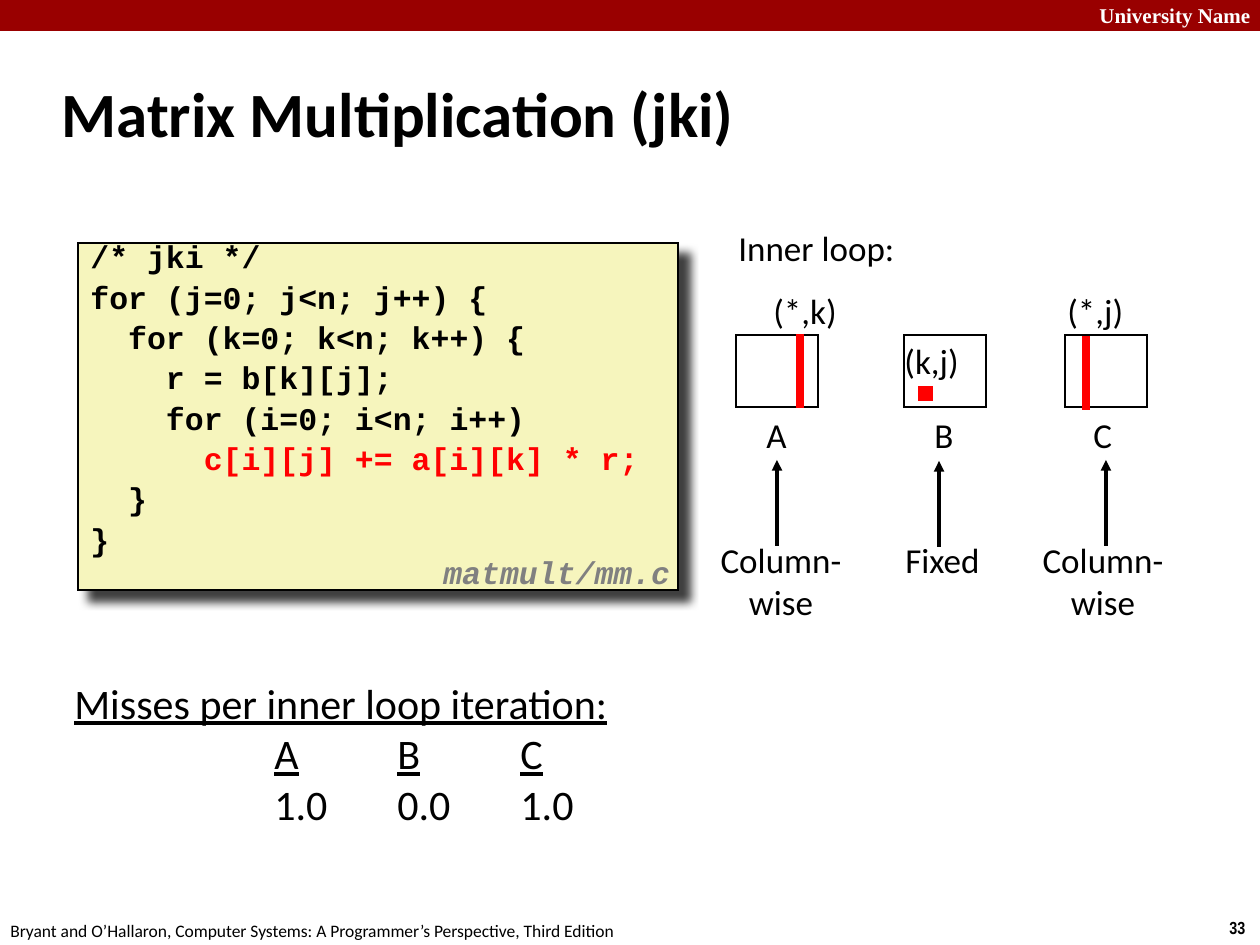
from dataclasses import dataclass

from lxml import etree
from pptx import Presentation
from pptx.dml.color import RGBColor
from pptx.enum.shapes import MSO_CONNECTOR, MSO_SHAPE
from pptx.enum.text import MSO_ANCHOR, PP_ALIGN
from pptx.oxml.ns import qn
from pptx.util import Emu, Pt

EMU_PER_PX = 914400 / 126


@dataclass(frozen=True)
class Theme:
    """Colours, fonts and type sizes of the slide."""
    black: str = "000000"
    white: str = "FFFFFF"
    red: str = "FF0000"
    banner: str = "990000"
    code_fill: str = "F6F5BD"
    grey: str = "808080"
    body_font: str = "Calibri"
    code_font: str = "Courier New"
    banner_font: str = "Times New Roman"
    number_font: str = "Arial Narrow"
    title: int = 36
    misses: int = 24
    label: int = 20
    code: int = 18
    banner_size: int = 12
    footer: int = 10


THEME = Theme()


@dataclass(frozen=True)
class Style:
    """Character formatting of a run."""
    size: int = THEME.label
    font: str = THEME.body_font
    color: str = THEME.black
    bold: bool = False
    italic: bool = False
    underline: bool = False


@dataclass(frozen=True)
class Label:
    """A text box: lines of text and its place in pixels."""
    lines: tuple[str, ...]
    left: int
    top: int
    width: int
    height: int = 54
    style: Style = Style()
    align: PP_ALIGN = PP_ALIGN.LEFT


@dataclass(frozen=True)
class Matrix:
    """One matrix of the inner loop diagram with its captions and arrow."""
    left: int
    name: Label
    index: Label
    access: Label
    arrow_x: int
    arrow_top: int = 460


def px(value: float) -> Emu:
    """Turn pixels into EMU."""
    return Emu(round(value * EMU_PER_PX))


def rgb(color: str) -> RGBColor:
    """Turn a hex string into a colour."""
    return RGBColor.from_string(color)


def add_run(paragraph, text: str, style: Style) -> None:
    """Append a formatted run."""
    run = paragraph.add_run()
    run.text = text
    font = run.font
    font.size, font.name = Pt(style.size), style.font
    font.bold, font.italic, font.underline = style.bold, style.italic, style.underline
    font.color.rgb = rgb(style.color)


def paragraphs(frame, count: int) -> list:
    """Return the given number of paragraphs in an empty frame."""
    return [frame.paragraphs[0]] + [frame.add_paragraph() for _ in range(count - 1)]


def add_label(slide, label: Label, wrap: bool = False):
    """Draw a text box and return its frame."""
    box = slide.shapes.add_textbox(px(label.left), px(label.top), px(label.width), px(label.height))
    frame = box.text_frame
    frame.word_wrap = wrap
    for paragraph, line in zip(paragraphs(frame, len(label.lines)), label.lines):
        paragraph.alignment = label.align
        add_run(paragraph, line, label.style)
    return frame


def add_box(slide, left: int, top: int, width: int, height: int,
            fill: str, line: str | None = THEME.black, weight: float = 1):
    """Draw a plain rectangle with sharp corners."""
    box = slide.shapes.add_shape(MSO_SHAPE.RECTANGLE, px(left), px(top), px(width), px(height))
    box.shadow.inherit = False
    box.fill.solid()
    box.fill.fore_color.rgb = rgb(fill)
    if line is None:
        box.line.fill.background()
    else:
        box.line.color.rgb = rgb(line)
        box.line.width = Pt(weight)
        etree.SubElement(box.line._get_or_add_ln(), qn("a:miter"), lim="800000")
    return box


def add_vertical(slide, x: int, bottom: int, top: int, color: str, weight: float,
                 arrow: bool = False) -> None:
    """Draw an upward line, with an arrowhead on request."""
    line = slide.shapes.add_connector(MSO_CONNECTOR.STRAIGHT, px(x), px(bottom), px(x), px(top))
    line.line.color.rgb = rgb(color)
    line.line.width = Pt(weight)
    if arrow:
        etree.SubElement(line.line._get_or_add_ln(), qn("a:tailEnd"), type="triangle")
    etree.SubElement(line._element.spPr, qn("a:effectLst"))


def add_drop_shadow(shape) -> None:
    """Give a shape a soft shadow to the lower right."""
    effects = shape._element.spPr.find(qn("a:effectLst"))
    shadow = etree.SubElement(effects, qn("a:outerShdw"), blurRad=str(Pt(5)), dist=str(Pt(8.5)),
                              dir=str(45 * 60000), algn="tl", rotWithShape="0")
    color = etree.SubElement(shadow, qn("a:srgbClr"), val=THEME.black)
    etree.SubElement(color, qn("a:alpha"), val="75000")


def add_code(slide) -> None:
    """Draw the code listing with its highlighted statement."""
    statement = "c[i][j] += a[i][k] * r;"
    lines = ("/* jki */", "for (j=0; j<n; j++) {", "  for (k=0; k<n; k++) {", "    r = b[k][j];",
             "    for (i=0; i<n; i++)", "      " + statement, "  }", "}")
    box = add_box(slide, 78, 243, 600, 347, THEME.code_fill)
    add_drop_shadow(box)
    frame = box.text_frame
    frame.word_wrap = True
    frame.vertical_anchor = MSO_ANCHOR.TOP
    plain = Style(THEME.code, THEME.code_font, bold=True)
    red = Style(THEME.code, THEME.code_font, THEME.red, bold=True)
    for paragraph, line in zip(paragraphs(frame, len(lines)), lines):
        paragraph.alignment = PP_ALIGN.LEFT
        paragraph.line_spacing = 0.65
        paragraph.space_before = Pt(9)
        before, found, _ = line.partition(statement)
        add_run(paragraph, before, plain)
        if found:
            add_run(paragraph, found, red)


def add_matrix(slide, matrix: Matrix) -> None:
    """Draw a matrix, its captions and the arrow to its access pattern."""
    add_box(slide, matrix.left, 335, 82, 72, THEME.white)
    for label in (matrix.name, matrix.index, matrix.access):
        add_label(slide, label)
    add_vertical(slide, matrix.arrow_x, matrix.arrow_top + 86, matrix.arrow_top,
                 THEME.black, 2, arrow=True)


def add_misses(slide) -> None:
    """Draw the table of misses, set with tabs."""
    plain, underlined = Style(THEME.misses), Style(THEME.misses, underline=True)
    heading = Label(("Misses per inner loop iteration:",), 62, 671, 757, 169, underlined)
    frame = add_label(slide, heading, wrap=True)
    for cells, style in ((("A", "B", "C"), underlined), (("1.0", "0.0", "1.0"), plain)):
        paragraph = frame.add_paragraph()
        properties = paragraph._p.get_or_add_pPr()
        for key, length in (("marL", 77), ("indent", -30), ("defTabSz", 123)):
            properties.set(key, str(px(length)))
        for column, cell in enumerate(cells):
            add_run(paragraph, "\t" if column else "\t\t", plain)
            add_run(paragraph, cell, style)


def add_title(slide, text: str) -> None:
    """Place and format the title placeholder."""
    title = slide.shapes.title
    title.left, title.top, title.width, title.height = px(49), px(60), px(1046), px(105)
    frame = title.text_frame
    frame.vertical_anchor = MSO_ANCHOR.MIDDLE
    frame.paragraphs[0].alignment = PP_ALIGN.LEFT
    add_run(frame.paragraphs[0], text, Style(THEME.title, bold=True))


COLUMN_WISE = ("Column-", "wise")
CENTER = PP_ALIGN.CENTER
MATRICES = (
    Matrix(736, Label(("A",), 754, 407, 47), Label(("(*,k)",), 761, 283, 90),
           Label(COLUMN_WISE, 707, 532, 148, 97, align=CENTER), 777),
    Matrix(904, Label(("B",), 922, 407, 45), Label(("(k,j)",), 892, 333, 84),
           Label(("Fixed",), 892, 532, 101, align=CENTER), 939, 461),
    Matrix(1065, Label(("C",), 1081, 407, 45), Label(("(*,j)",), 1055, 283, 84),
           Label(COLUMN_WISE, 1029, 532, 148, 97, align=CENTER), 1106),
)
FURNITURE = (
    Label(("University Name",), 1087, -4, 182, 38,
          Style(THEME.banner_size, THEME.banner_font, THEME.white, bold=True)),
    Label(("33",), 1217, 911, 43, 34, Style(THEME.footer, THEME.number_font, bold=True)),
    Label(("Bryant and O’Hallaron, Computer Systems: A Programmer’s Perspective, Third Edition",),
          -2, 914, 640, 34, Style(THEME.footer)),
)


def main() -> None:
    """Build and save the slide."""
    deck = Presentation()
    deck.slide_width, deck.slide_height = px(1260), px(945)
    slide = deck.slides.add_slide(deck.slide_layouts[5])
    add_box(slide, 0, 0, 1260, 31, THEME.banner, None)
    for label in FURNITURE:
        add_label(slide, label)
    add_title(slide, "Matrix Multiplication (jki)")
    add_code(slide)
    add_label(slide, Label(("Inner loop:",), 726, 220, 183))
    for matrix in MATRICES:
        add_matrix(slide, matrix)
    add_vertical(slide, 800, 408, 334, THEME.red, 4.5)
    add_vertical(slide, 1086, 410, 336, THEME.red, 4.5)
    add_box(slide, 922, 390, 7, 7, THEME.red, THEME.red, 4.5)
    add_misses(slide)
    source = Style(THEME.code, THEME.code_font, THEME.grey, bold=True, italic=True)
    frame = add_label(slide, Label(("matmult/mm.c",), 431, 550, 262, 49, source))
    frame.paragraphs[0].line_spacing = 0.94
    deck.save("out.pptx")


main()
